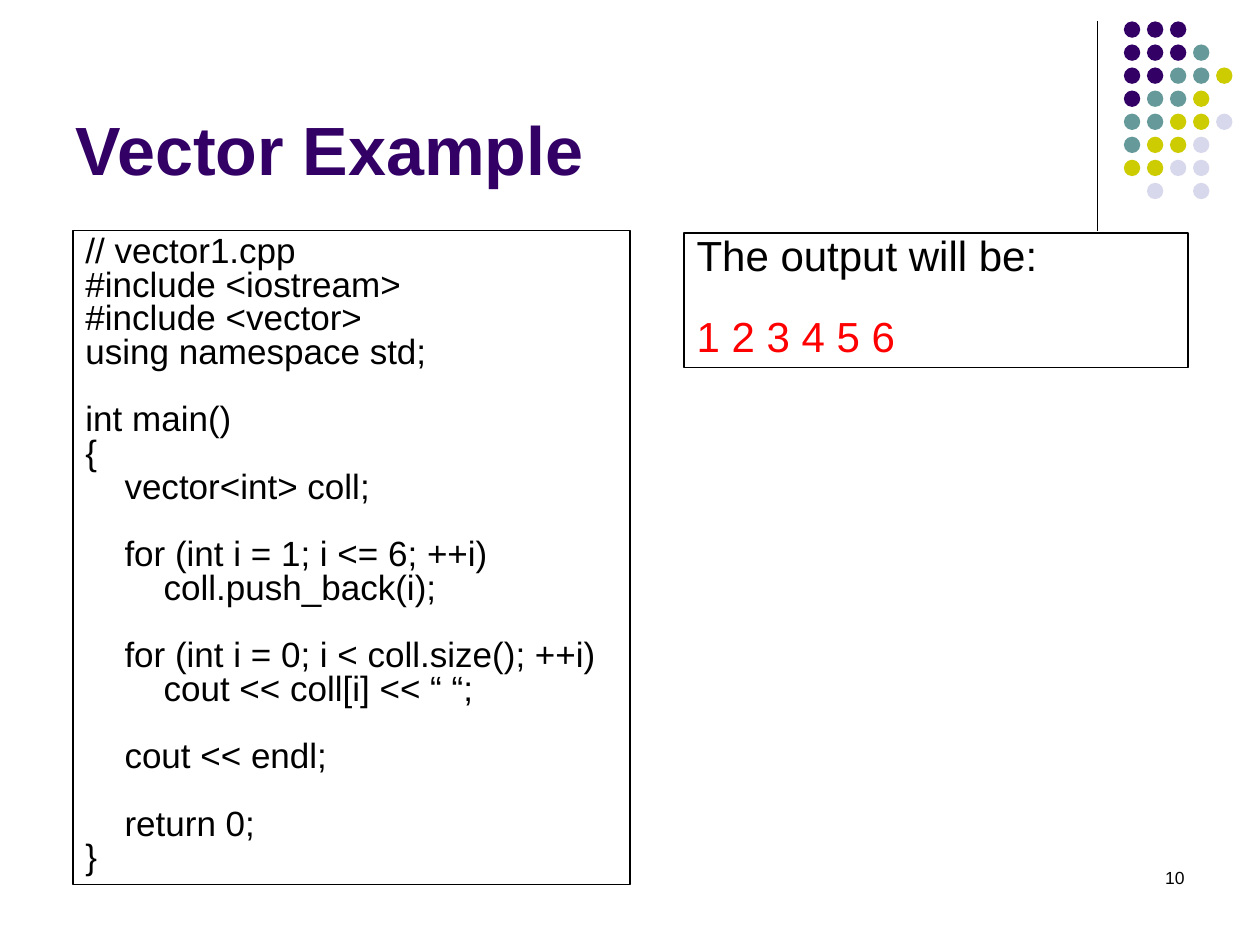
from dataclasses import dataclass

from lxml import etree
from pptx import Presentation
from pptx.dml.color import RGBColor
from pptx.enum.shapes import MSO_CONNECTOR, MSO_SHAPE
from pptx.enum.text import MSO_ANCHOR, MSO_AUTO_SIZE, PP_ALIGN
from pptx.oxml.ns import qn
from pptx.util import Inches, Pt

STRAIGHT = MSO_CONNECTOR.STRAIGHT
RECT, OVAL = MSO_SHAPE.RECTANGLE, MSO_SHAPE.OVAL
TOP, BOTTOM = MSO_ANCHOR.TOP, MSO_ANCHOR.BOTTOM
LEFT, RIGHT = PP_ALIGN.LEFT, PP_ALIGN.RIGHT
GROW = MSO_AUTO_SIZE.SHAPE_TO_FIT_TEXT


@dataclass(frozen=True)
class Theme:
    font: str = "Arial"
    ink: str = "000000"
    purple: str = "330066"
    teal: str = "669999"
    lime: str = "CCCC00"
    pale: str = "D8D8EC"
    red: str = "FF0000"
    title: int = 39
    output: int = 24
    code: int = 20
    number: int = 10
    rule: float = 0.75
    spacing: float = 0.8
    line_pitch: float = 0.963  # drawn line height as a share of type size


THEME = Theme()
DOT_COLOURS = {"P": THEME.purple, "T": THEME.teal,
               "L": THEME.lime, "W": THEME.pale}
DOT_ROWS = ("PPP", "PPPT", "PPTTL", "PTTL", "TTLLW", "TLLW", "LLWW", " W W")

# Each block is set off from the one before by an empty line;
# a line is (indent level, text).
CODE_BLOCKS = (
    ((0, "// vector1.cpp"), (0, "#include <iostream>"),
     (0, "#include <vector>"), (0, "using namespace std;")),
    ((0, "int main()"), (0, "{"), (1, "vector<int> coll;")),
    ((1, "for (int i = 1; i <= 6; ++i)"), (2, "coll.push_back(i);")),
    ((1, "for (int i = 0; i < coll.size(); ++i)"),
     (2, "cout << coll[i] << “ “;")),
    ((1, "cout << endl;"),),
    ((1, "return 0;"), (0, "}")),
)
OUTPUT_BLOCKS = (((0, "The output will be:"),), ((0, "1 2 3 4 5 6"),))


def rgb(colour):
    return RGBColor.from_string(colour)


def write(p, text, size, colour, bold=False):
    r = p.add_run()
    r.text = text
    formats = {"name": THEME.font, "size": Pt(size), "bold": bold}
    for name, value in formats.items():
        setattr(r.font, name, value)
    r.font.color.rgb = rgb(colour)


def add_label(slide, box, text, size, colour, anchor=TOP, align=LEFT, bold=False):
    tf = slide.shapes.add_textbox(*map(Inches, box)).text_frame
    tf.word_wrap = True
    tf.vertical_anchor = anchor
    p = tf.paragraphs[0]
    p.alignment = align
    write(p, text, size, colour, bold)


def add_listing(slide, box, blocks, size, colours):
    """Outlined box of text blocks, with one colour for each block."""
    sp = slide.shapes.add_shape(RECT, *map(Inches, box))
    sp.shadow.inherit = False
    sp.fill.background()
    sp.line.color.rgb = rgb(THEME.ink)
    sp.line.width = Pt(THEME.rule)
    tf = sp.text_frame
    formats = {"word_wrap": True, "auto_size": GROW, "vertical_anchor": TOP}
    for name, value in formats.items():
        setattr(tf, name, value)

    p = tf.paragraphs[0]
    for b, (block, colour) in enumerate(zip(blocks, colours)):
        for i, (level, text) in enumerate(block):
            if b or i:
                p = tf.add_paragraph()
            p.alignment = LEFT
            p.line_spacing = THEME.spacing
            if b and not i:
                p.space_before = Pt(round(size * THEME.line_pitch, 1))
            if level:
                p._p.get_or_add_pPr().set("marL", str(Inches(0.31 * level)))
            write(p, text, size, colour)


def add_dots(slide, left, top, pitch=0.183, size=0.13):
    group = slide.shapes.add_group_shape()
    for row, marks in enumerate(DOT_ROWS):
        for col, mark in enumerate(marks):
            if mark == " ":
                continue
            dot = group.shapes.add_shape(
                OVAL, Inches(left + col * pitch), Inches(top + row * pitch),
                Inches(size), Inches(size))
            dot.shadow.inherit = False
            dot.fill.solid()
            dot.fill.fore_color.rgb = rgb(DOT_COLOURS[mark])
            dot.line.fill.background()


def add_rule(slide, x, top, bottom):
    rule = slide.shapes.add_connector(
        STRAIGHT, Inches(x), Inches(top), Inches(x), Inches(bottom))
    rule.line.color.rgb = rgb(THEME.ink)
    rule.line.width = Pt(THEME.rule)
    etree.SubElement(rule._element.spPr, qn("a:effectLst"))


def build_slide(prs):
    slide = prs.slides.add_slide(prs.slide_layouts[6])
    add_rule(slide, 8.71, 0.17, 1.83)
    add_dots(slide, 8.92, 0.17)
    add_label(slide, (7.17, 6.83, 2.33, 0.5), "10", THEME.number, THEME.ink,
              align=RIGHT)
    add_label(slide, (0.5, 0.13, 8.25, 1.42), "Vector Example", THEME.title,
              THEME.purple, anchor=BOTTOM, bold=True)
    add_listing(slide, (0.58, 1.83, 4.42, 5.19), CODE_BLOCKS, THEME.code,
                [THEME.ink] * len(CODE_BLOCKS))
    add_listing(slide, (5.43, 1.85, 4, 1.07), OUTPUT_BLOCKS, THEME.output,
                (THEME.ink, THEME.red))


def main():
    prs = Presentation()
    prs.slide_width, prs.slide_height = Inches(10), Inches(7.5)
    build_slide(prs)
    prs.save("out.pptx")


if __name__ == "__main__":
    main()
